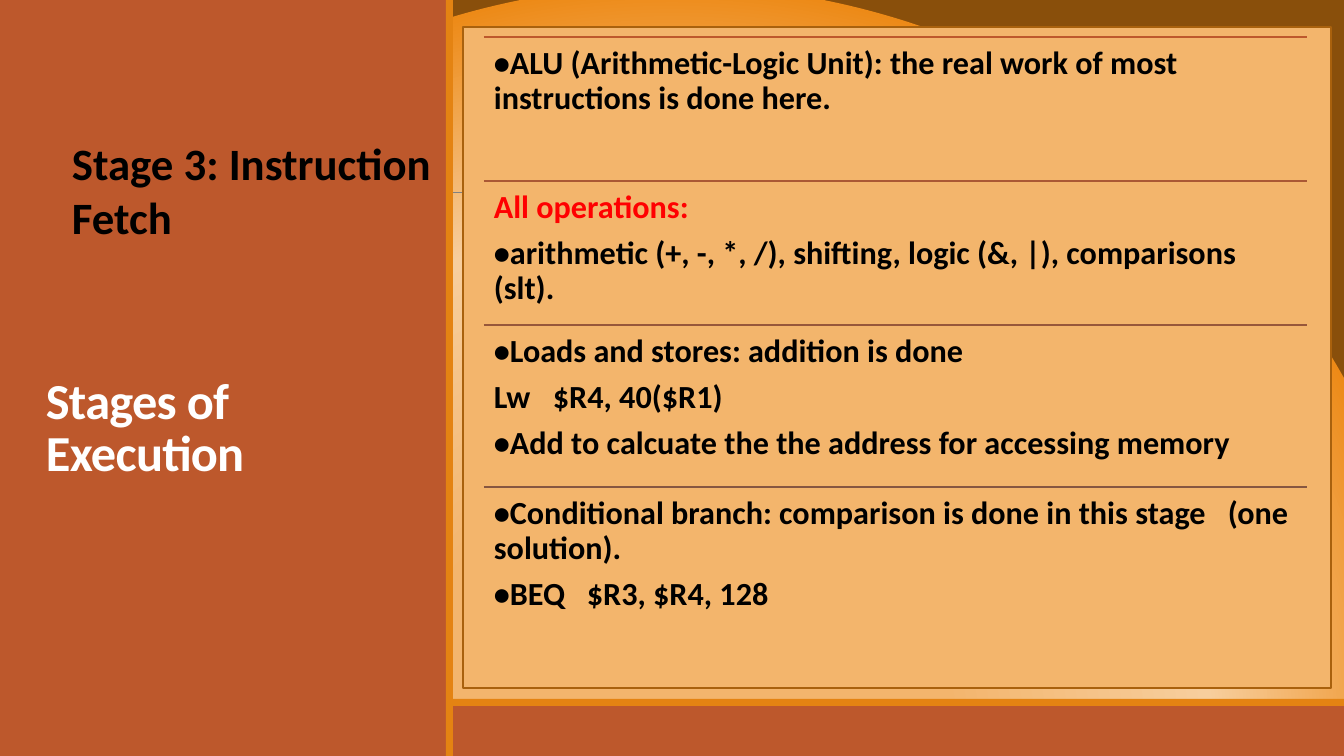
from lxml import etree
from pptx import Presentation, util as u
from pptx.dml.color import RGBColor
from pptx.enum import shapes, text
from pptx.oxml import parse_xml
from pptx.oxml.ns import nsdecls, qn

PX = 914400 / 100.8
COLORS = {
    "rust": "BD582C", "orange": "E48312", "sand": "F3B56C", "bronze": "A9610D",
    "gray": "808080", "black": "000000", "white": "FFFFFF", "red": "FF0000",
    "rule 2": "AA5834", "rule 3": "97573A", "rule 4": "865640",
}


def rgb(name):
    return RGBColor.from_string(COLORS[name])


def px(*lengths):
    return [u.Emu(round(n * PX)) for n in lengths]


deck = Presentation()
deck.slide_width, deck.slide_height = px(1344, 756)
slide = deck.slides.add_slide(deck.slide_layouts[6])

stops = [(36, "F3B56D"), (70, "F7CE9D"), (100, "ED8A17"), (100, "894F0B")]
stop_xml = "".join(
    f'<a:gs pos="{pos * 1000}"><a:srgbClr val="{color}"/></a:gs>' for pos, color in stops
)
slide.element.cSld.insert(0, parse_xml(
    f'<p:bg {nsdecls("p", "a")}><p:bgPr><a:gradFill rotWithShape="1">'
    f'<a:gsLst>{stop_xml}</a:gsLst><a:path path="circle">'
    '<a:fillToRect l="50000" t="130000" r="50000" b="-30000"/></a:path>'
    '</a:gradFill><a:effectLst/></p:bgPr></p:bg>'
))

rules = [
    (132, 1231, 192, "gray", 0.5),
    (484, 1307, 37, "rust", 1.25),
    (484, 1307, 181, "rule 2", 1.25),
    (484, 1307, 325, "rule 3", 1.25),
    (484, 1307, 487, "rule 4", 1.25),
]
panels = [
    (0, 706, 1344, 50, "rust", None),
    (0, 699, 1344, 7, "orange", None),
    (0, 0, 447, 756, "rust", None),
    (446, 0, 7, 756, "orange", None),
    (463, 27, 868, 661, "sand", "bronze"),
]
for left, top, width, height, fill, edge in panels:
    panel = slide.shapes.add_shape(
        shapes.MSO_SHAPE.RECTANGLE, *px(left, top, width, height))
    panel.shadow.inherit = False
    panel.fill.solid()
    panel.fill.fore_color.rgb = rgb(fill)
    if edge:
        panel.line.color.rgb = rgb(edge)
        panel.line.width = u.Pt(1.25)
    else:
        panel.line.fill.background()
    if top == 699:
        behind_sidebar = len(slide.shapes._spTree)

for start, end, y, color, weight in rules:
    rule = slide.shapes.add_connector(
        shapes.MSO_CONNECTOR.STRAIGHT, *px(start, y, end, y))
    rule.line.color.rgb = rgb(color)
    rule.line.width = u.Pt(weight)
    etree.SubElement(rule._element.spPr, qn("a:effectLst"))
    if color == "gray":
        slide.shapes._spTree.insert(behind_sidebar, rule._element)

headings = [
    (36, 330, 353, 252, "Stages of Execution", 36, "white", "black", 0.85, 0, 57, -50),
    (62, 131, 448, 119, "Stage 3: Instruction Fetch", 32, "black", "white", 1, 6, 5, 0),
]
for (left, top, width, height, wording, size, color, glow,
     spacing, after, bottom, tracking) in headings:
    heading = slide.shapes.add_textbox(*px(left, top, width, height))
    frame = heading.text_frame
    frame.word_wrap = True
    frame.margin_bottom = px(bottom)[0]
    if color == "white":
        frame.vertical_anchor = text.MSO_ANCHOR.MIDDLE
    line = frame.paragraphs[0]
    line.line_spacing = spacing
    line.space_after = u.Pt(after)
    run = line.add_run()
    run.text = wording
    run.font.name, run.font.size, run.font.bold = "Calibri", u.Pt(size), True
    run.font.color.rgb = rgb(color)
    props = run._r.get_or_add_rPr()
    props.set("spc", str(tracking))
    props.find(qn("a:solidFill")).addnext(parse_xml(
        f'<a:effectLst {nsdecls("a")}><a:outerShdw blurRad="38100" dist="38100" '
        f'dir="2700000" algn="tl"><a:srgbClr val="{COLORS[glow]}">'
        '<a:alpha val="60000"/></a:srgbClr></a:outerShdw></a:effectLst>'
    ))

sections = [
    (37, 143, [("•ALU (Arithmetic-Logic Unit): the real work of most "
                "instructions is done here.", "black", 0)]),
    (181, 144, [("All operations:", "red", 0),
                ("•arithmetic (+, -, *, /), shifting, logic (&, |), "
                 "comparisons (slt).", "black", 0)]),
    (325, 162, [("•Loads and stores: addition is done", "black", 0),
                ("Lw\t$R4, 40($R1)", "black", 59),
                ("•Add to calcuate the the address for accessing memory", "black", 0)]),
    (487, 167, [("•Conditional branch: comparison is done in this stage\t"
                 "(one solution).", "black", 734),
                ("•BEQ\t$R3, $R4, 128", "black", 93)]),
]
for top, height, lines in sections:
    section = slide.shapes.add_textbox(*px(484, top, 823, height))
    frame = section.text_frame
    frame.word_wrap = True
    frame.margin_top = frame.margin_bottom = px(10)[0]
    for index, (wording, color, tab) in enumerate(lines):
        line = frame.add_paragraph() if index else frame.paragraphs[0]
        line.text = wording
        line.line_spacing = 0.9
        line.space_after = u.Pt(8)
        if tab:
            tabs = etree.SubElement(line._p.get_or_add_pPr(), qn("a:tabLst"))
            etree.SubElement(tabs, qn("a:tab"), pos=str(px(tab)[0]), algn="l")
        line.font.name, line.font.size, line.font.bold = "Calibri", u.Pt(23), True
        line.font.color.rgb = rgb(color)

deck.save("out.pptx")
